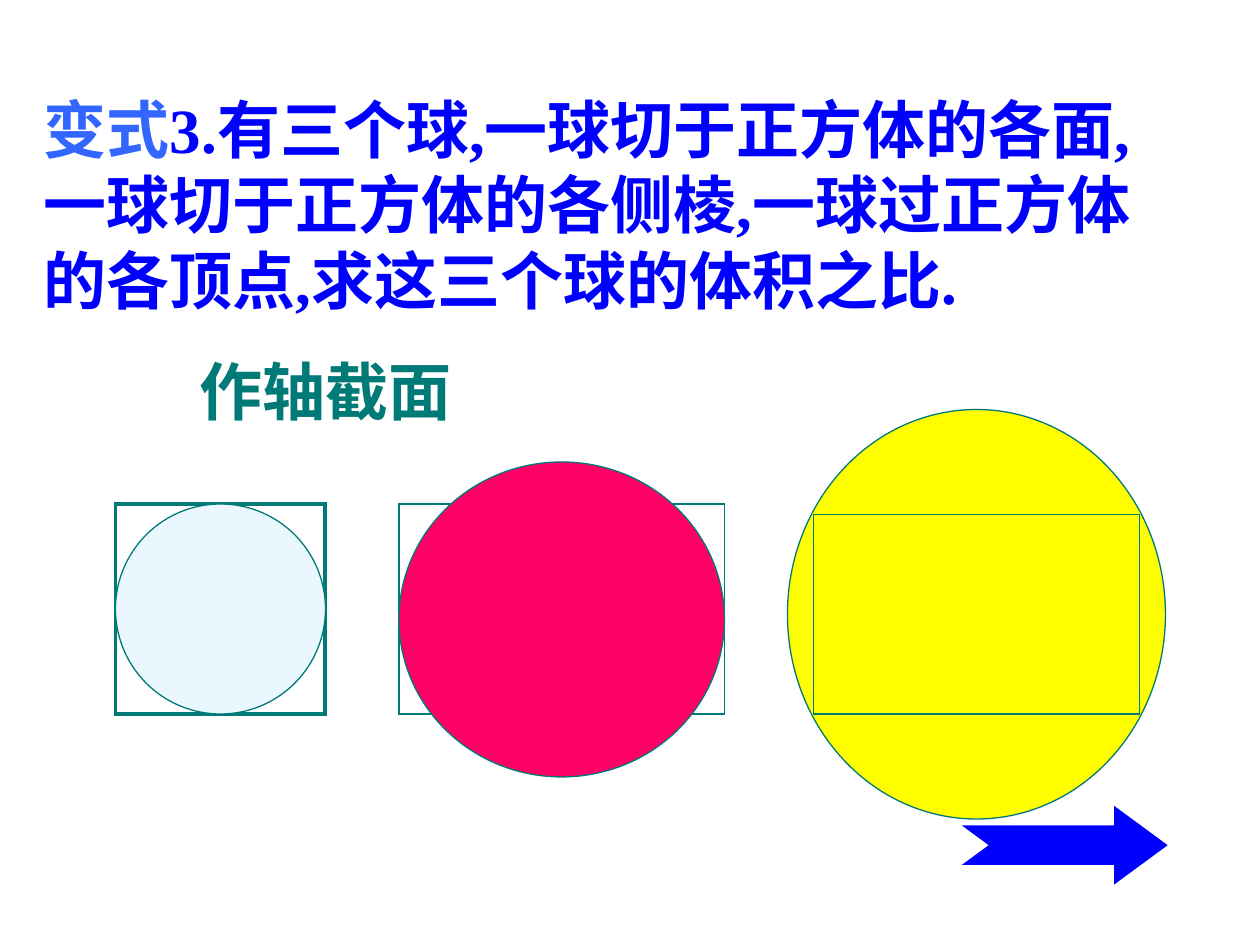
"""Build the slide on three spheres and a cube, with their axial sections."""
from dataclasses import dataclass
from typing import Any, Optional

import lxml.etree
import pptx
import pptx.dml.color
import pptx.enum.lang
import pptx.enum.shapes
import pptx.enum.text
import pptx.oxml.ns
import pptx.util

EMU_PER_PX = 9525
SHAPE = pptx.enum.shapes.MSO_SHAPE
ALIGN = pptx.enum.text.PP_ALIGN


@dataclass(frozen=True)
class Theme:
    teal: str = "007A77"
    blue: str = "0000FF"
    label_blue: str = "3366FF"
    ice: str = "EBF7FF"
    pink: str = "FF0066"
    yellow: str = "FFFF00"
    latin_font: str = "Times New Roman"
    chinese_font: str = "Noto Sans CJK SC"
    text_size: int = 36


THEME = Theme()


@dataclass(frozen=True)
class Box:
    left: int
    top: int
    width: int
    height: int


@dataclass(frozen=True)
class Figure:
    kind: Any
    box: Box
    fill: Optional[str] = None
    line: str = THEME.teal
    weight: float = 0.75
    adjustments: tuple[float, ...] = ()


@dataclass(frozen=True)
class Span:
    text: str
    color: str
    latin_font: str = THEME.latin_font


SECTIONS = (
    (
        Figure(SHAPE.RECTANGLE, Box(88, 384, 160, 160), weight=2.25),
        Figure(SHAPE.OVAL, Box(88, 384, 160, 160), THEME.ice),
    ),
    (
        Figure(SHAPE.RECTANGLE, Box(304, 384, 248, 160)),
        Figure(SHAPE.OVAL, Box(304, 352, 248, 240), THEME.pink),
    ),
    (
        Figure(SHAPE.OVAL, Box(600, 312, 288, 312), THEME.yellow),
        Figure(SHAPE.RECTANGLE, Box(620, 392, 248, 152)),
        Figure(SHAPE.NOTCHED_RIGHT_ARROW, Box(736, 616, 152, 56),
               THEME.blue, THEME.blue, 1.5, (0.5, 0.68)),
    ),
)


def px(length: int) -> pptx.util.Emu:
    return pptx.util.Emu(length * EMU_PER_PX)


def place(box: Box) -> tuple[pptx.util.Emu, ...]:
    return px(box.left), px(box.top), px(box.width), px(box.height)


def rgb(color: str) -> pptx.dml.color.RGBColor:
    return pptx.dml.color.RGBColor.from_string(color)


def draw_figure(shapes: Any, figure: Figure) -> None:
    shape = shapes.add_shape(figure.kind, *place(figure.box))
    shape.shadow.inherit = False
    if figure.fill:
        shape.fill.solid()
        shape.fill.fore_color.rgb = rgb(figure.fill)
    else:
        shape.fill.background()
    shape.line.color.rgb = rgb(figure.line)
    shape.line.width = pptx.util.Pt(figure.weight)
    outline = shape._element.spPr.find(pptx.oxml.ns.qn("a:ln"))
    lxml.etree.SubElement(outline, pptx.oxml.ns.qn("a:miter"), lim="800000")
    for index, value in enumerate(figure.adjustments):
        shape.adjustments[index] = value


def add_text(page: Any, box: Box, *spans: Span, align: Any = ALIGN.LEFT,
             size: int = THEME.text_size, bold: bool = True) -> None:
    frame = page.shapes.add_textbox(*place(box)).text_frame
    frame.word_wrap = True
    para = frame.paragraphs[0]
    para.alignment = align
    para._p.get_or_add_pPr().set("hangingPunct", "0")
    for span in spans:
        run = para.add_run()
        run.text = span.text
        font = run.font
        font.size = pptx.util.Pt(size)
        font.bold = bold
        font.color.rgb = rgb(span.color)
        font.name = span.latin_font
        font.language_id = pptx.enum.lang.MSO_LANGUAGE_ID.SIMPLIFIED_CHINESE
        lxml.etree.SubElement(run._r.get_or_add_rPr(), pptx.oxml.ns.qn("a:ea"),
                              typeface=THEME.chinese_font)


def main() -> None:
    deck = pptx.Presentation()
    deck.slide_width, deck.slide_height = px(960), px(720)
    page = deck.slides.add_slide(deck.slide_layouts[6])
    add_text(
        page, Box(24, 64, 888, 182),
        Span("变式", THEME.label_blue, THEME.chinese_font),
        Span("3.有三个球,一球切于正方体的各面,一球切于正方体的各侧棱,"
             "一球过正方体的各顶点,求这三个球的体积之比.", THEME.blue),
    )
    for section in SECTIONS:
        group = page.shapes.add_group_shape()
        for figure in section:
            draw_figure(group.shapes, figure)
    add_text(page, Box(56, 264, 384, 67), Span("作轴截面", THEME.teal),
             align=ALIGN.CENTER)
    deck.save("out.pptx")


if __name__ == "__main__":
    main()
